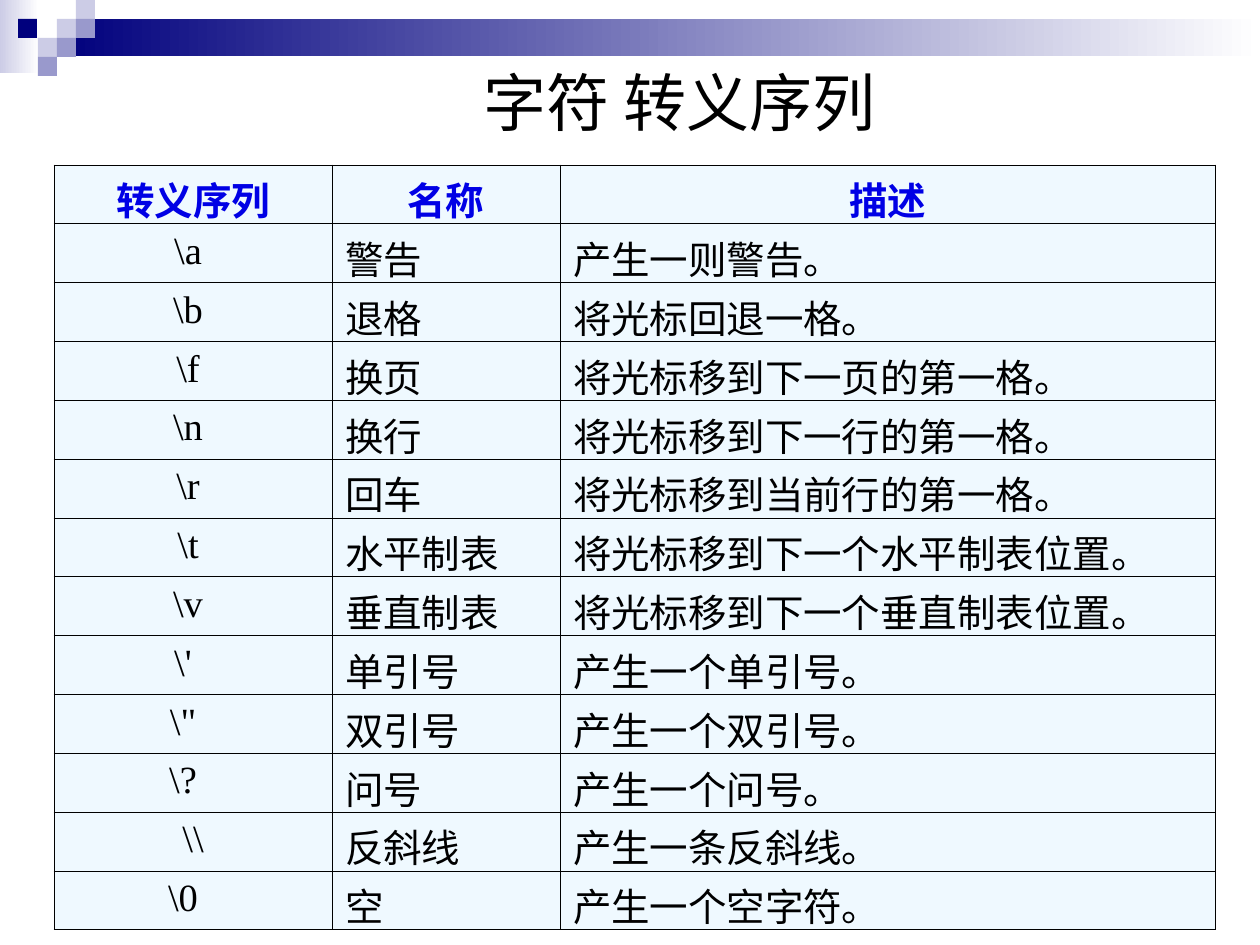
from dataclasses import dataclass

from lxml.etree import SubElement
from pptx import Presentation
from pptx.dml.color import RGBColor as RGB
from pptx.enum.shapes import MSO_SHAPE
from pptx.enum.text import MSO_ANCHOR as ANCHOR, PP_ALIGN as ALIGN
from pptx.oxml.ns import qn
from pptx.util import Pt

EMU_PER_PX = 914400 / 126


@dataclass(frozen=True)
class Theme:
    navy: str = "00007D"
    lilac: str = "9999CC"
    pale_lilac: str = "CCCCE6"
    white: str = "FFFFFF"
    ink: str = "000000"
    header: str = "0000E5"
    cell: str = "EFF9FF"
    font: str = "Times New Roman"
    title_size: int = 36
    table_size: int = 22
    border_width: float = 0.45


THEME = Theme()

BANDS = [
    (0, 0, 39, 73, THEME.pale_lilac),
    (57, 19, 1203, 37, THEME.navy),
]
SQUARE = 19
SQUARES = [
    (57, 19, THEME.pale_lilac),
    (76, 0, THEME.pale_lilac),
    (76, 19, THEME.lilac),
    (38, 38, THEME.pale_lilac),
    (18, 19, THEME.navy),
    (57, 38, THEME.lilac),
    (38, 57, THEME.lilac),
]

TABLE_BOX = (54, 165, 1161, 765)
COLUMN_WIDTHS = (278, 228, 655)
CELL_MARGIN = 13
HEADERS = ("转义序列", "名称", "描述")
# Sequence, name, description, and how far the sequence is pushed from the right
ESCAPES = [
    (r"\a", "警告", "产生一则警告。", 10),
    (r"\b", "退格", "将光标回退一格。", 10),
    (r"\f", "换页", "将光标移到下一页的第一格。", 10),
    (r"\n", "换行", "将光标移到下一行的第一格。", 10),
    (r"\r", "回车", "将光标移到当前行的第一格。", 10),
    (r"\t", "水平制表", "将光标移到下一个水平制表位置。", 10),
    (r"\v", "垂直制表", "将光标移到下一个垂直制表位置。", 10),
    (r"\'", "单引号", "产生一个单引号。", 20),
    (r"\"", "双引号", "产生一个双引号。", 20),
    (r"\?", "问号", "产生一个问号。", 20),
    (r"\\", "反斜线", "产生一条反斜线。", 0),
    (r"\0", "空", "产生一个空字符。", 20),
]


def px(length):
    return round(length * EMU_PER_PX)


def add_block(slide, left, top, width, height, color, fade=False):
    """Add a borderless rectangle, fading to white at the right if asked."""
    block = slide.shapes.add_shape(
        MSO_SHAPE.RECTANGLE, px(left), px(top), px(width), px(height))
    block.shadow.inherit = False
    block.line.fill.background()
    if fade:
        block.fill.gradient()
        block.fill.gradient_angle = 0
        stops = block.fill.gradient_stops
        for stop, stop_color in zip(stops, (color, THEME.white)):
            stop.color.rgb = RGB.from_string(stop_color)
    else:
        block.fill.solid()
        block.fill.fore_color.rgb = RGB.from_string(color)


def write(frame, text, size, align, color=THEME.ink, bold=False):
    paragraph = frame.paragraphs[0]
    paragraph.text = text
    paragraph.alignment = align
    font = paragraph.font
    font.name, font.size, font.bold = THEME.font, Pt(size), bold
    font.color.rgb = RGB.from_string(color)


def add_title(slide, text):
    box = slide.shapes.add_textbox(px(144), px(16), px(1071), px(129))
    box.text_frame.word_wrap = True
    box.text_frame.vertical_anchor = ANCHOR.BOTTOM
    write(box.text_frame, text, THEME.title_size, ALIGN.CENTER)


def set_borders(cell):
    properties = cell._tc.get_or_add_tcPr()
    for index, side in enumerate(("lnL", "lnR", "lnT", "lnB")):
        line = SubElement(properties, qn(f"a:{side}"),
                          w=str(Pt(THEME.border_width)))
        fill = SubElement(line, qn("a:solidFill"))
        SubElement(fill, qn("a:srgbClr"), val=THEME.ink)
        properties.insert(index, line)


def fill_cell(cell, text, align, color=THEME.ink, bold=False, push=0):
    cell.fill.solid()
    cell.fill.fore_color.rgb = RGB.from_string(THEME.cell)
    cell.margin_left = px(CELL_MARGIN)
    cell.margin_right = px(CELL_MARGIN + push)
    set_borders(cell)
    write(cell.text_frame, text, THEME.table_size, align, color, bold)


def add_escape_table(slide):
    row_count = len(ESCAPES) + 1
    table = slide.shapes.add_table(
        row_count, len(HEADERS), *map(px, TABLE_BOX)).table
    for column, width in zip(table.columns, COLUMN_WIDTHS):
        column.width = px(width)
    for row in table.rows:
        row.height = px(TABLE_BOX[3] / row_count)
    for column, header in enumerate(HEADERS):
        fill_cell(table.cell(0, column), header, ALIGN.CENTER,
                  THEME.header, bold=True)
    for row, (sequence, name, description, push) in enumerate(ESCAPES, 1):
        fill_cell(table.cell(row, 0), sequence, ALIGN.CENTER, push=push)
        fill_cell(table.cell(row, 1), name, ALIGN.LEFT)
        fill_cell(table.cell(row, 2), description, ALIGN.LEFT)


def main():
    presentation = Presentation()
    presentation.slide_width, presentation.slide_height = px(1260), px(945)
    slide = presentation.slides.add_slide(presentation.slide_layouts[6])
    for band in BANDS:
        add_block(slide, *band, fade=True)
    for left, top, color in SQUARES:
        add_block(slide, left, top, SQUARE, SQUARE, color)
    add_title(slide, "字符 转义序列")
    add_escape_table(slide)
    presentation.save("out.pptx")


if __name__ == "__main__":
    main()
